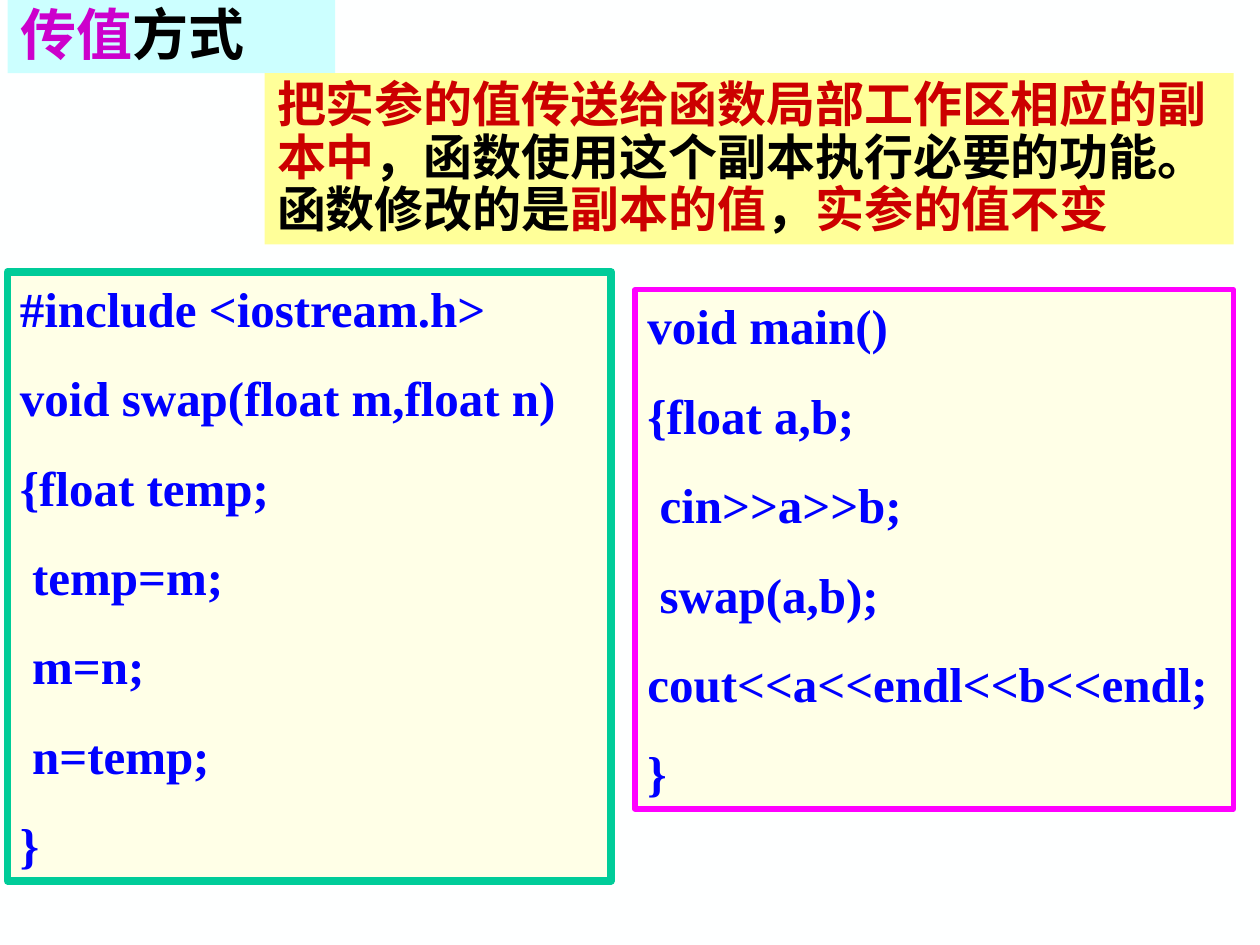
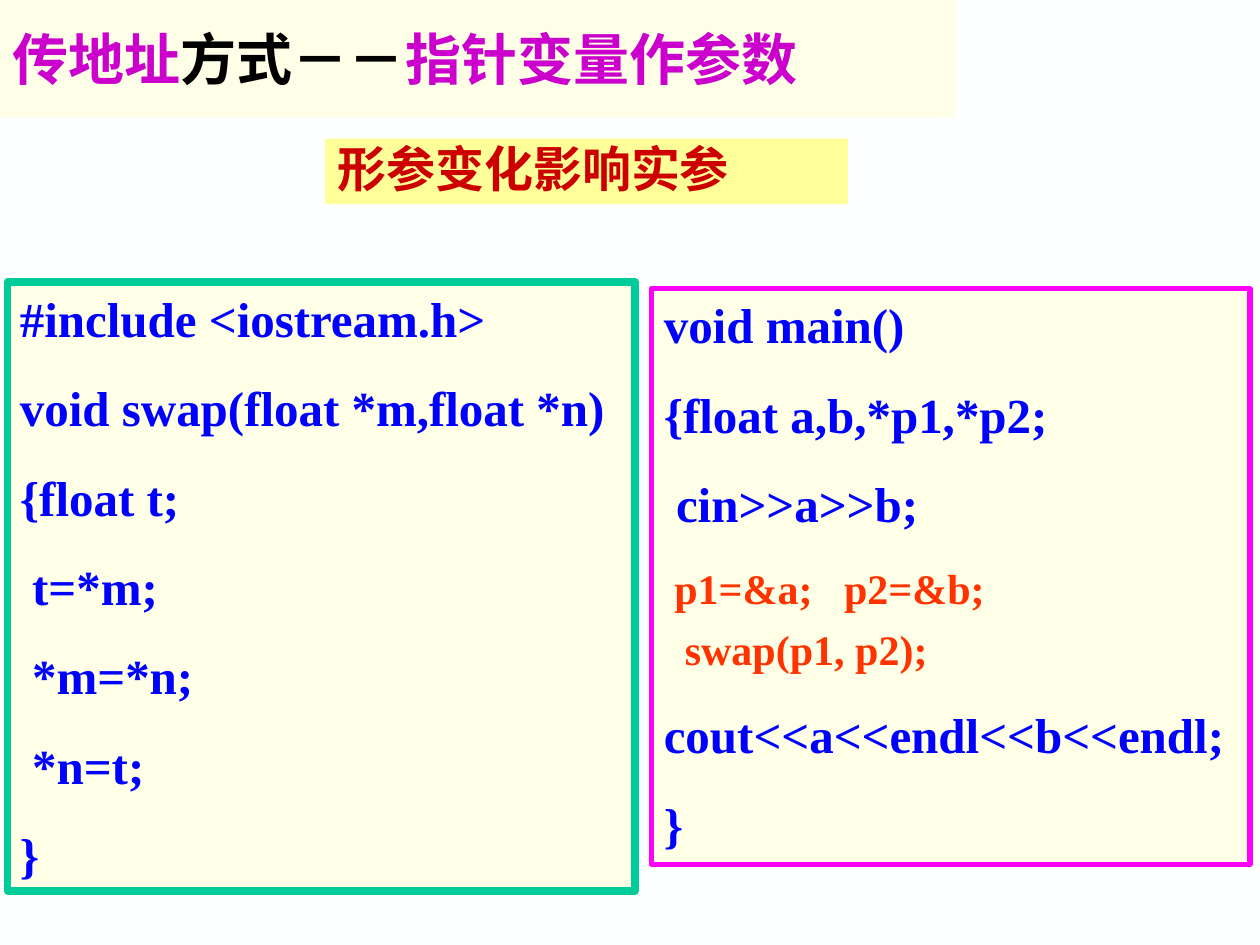
from pptx import Presentation
from pptx.dml.color import RGBColor
from pptx.enum.shapes import MSO_SHAPE as SHAPE
from pptx.enum.text import MSO_ANCHOR as ANCHOR, MSO_AUTO_SIZE as AUTO, PP_ALIGN as ALIGN
from pptx.oxml.ns import qn
from pptx.util import Inches, Pt
from lxml.etree import SubElement

W, H = Inches(10), Inches(7.5)
COL, ROW = W / 100, H / 75
COLORS = {
    "back": "FEFFFF", "cream": "FFFFE7", "sky": "CCFFFF", "yellow": "FFFF99",
    "magenta": "FF00FF", "green": "00CC99", "purple": "CC00CC", "black": "000000",
    "red": "CC0000", "blue": "0000FF", "orange": "FF3300",
}
CJK, CODE = "Noto Sans CJK SC", "Times New Roman"
LEADING = 1.2


def rgb(name):
    return RGBColor.from_string(COLORS[name])


def place(sp, box):
    left, top, width, height = box
    sp.left, sp.top = round(left * COL), round(top * ROW)
    sp.width, sp.height = round(width * COL), round(height * ROW)


def prepare(sp, box, fill, anchor=ANCHOR.TOP):
    place(sp, box)
    sp.fill.solid()
    sp.fill.fore_color.rgb = rgb(fill)
    tf = sp.text_frame
    tf.word_wrap = True
    tf.auto_size = AUTO.NONE
    tf.vertical_anchor = anchor
    tf.margin_left = tf.margin_right = Inches(0.1)
    tf.margin_top = tf.margin_bottom = Inches(0.05)
    return tf


def add_panel(s, box, fill, border=None, weight=0):
    sp = s.shapes.add_shape(SHAPE.RECTANGLE, 0, 0, 0, 0)
    sp.shadow.inherit = False
    if border:
        sp.line.color.rgb = rgb(border)
        sp.line.width = Pt(weight)
    else:
        sp.line.fill.background()
    return prepare(sp, box, fill)


def write(p, runs, size, name, before=0, tight=1, align=ALIGN.LEFT):
    p.alignment = align
    p.line_spacing = Pt(round(size * LEADING * tight, 1))
    p.space_before = Pt(before)
    p.font.size, p.font.name, p.font.bold = Pt(size), name, True
    p.font.color.rgb = rgb(runs[0][1])
    SubElement(p.font._element, qn("a:ea")).set("typeface", name)
    for text, color in runs:
        r = p.add_run()
        r.text = text
        if color != runs[0][1]:
            r.font.color.rgb = rgb(color)


def add_title(s, box, fill, runs, anchor=ANCHOR.TOP, tight=1):
    tf = prepare(s.shapes.title, box, fill, anchor)
    write(tf.paragraphs[0], runs, 32, CJK, tight=tight)


def add_note(s, box, runs):
    tf = add_panel(s, box, "yellow")
    write(tf.paragraphs[0], runs, 28, CJK, tight=0.9)


def add_code(s, box, border, weight, lines, calls=()):
    tf = add_panel(s, box, "cream", border, weight)
    for i, line in enumerate(lines):
        p = tf.paragraphs[0] if i == 0 else tf.add_paragraph()
        if line in calls:
            first = line == calls[0]
            write(p, [(line, "orange")], 24, CODE, 17.5 if first else 6,
                  align=ALIGN.LEFT if first else ALIGN.JUSTIFY)
        else:
            write(p, [(line, "blue")], 28, CODE, 17.5 if i else 0)


def add_swap(s, box, lines):
    add_code(s, box, "green", 4.5, ["#include <iostream.h>", *lines, "}"])


def add_main(s, box, lines, calls=()):
    add_code(s, box, "magenta", 3,
             ["void main()", *lines, "cout<<a<<endl<<b<<endl;", "}"], calls)


def by_value(s):
    add_title(s, (0.6, 0, 26, 5.8), "sky",
              [("传值", "purple"), ("方式", "black")], tight=0.9)
    add_note(s, (21, 5.8, 76.9, 13.6), [
        ("把实参的值传送给函数局部工作区相应的副本中", "red"),
        ("，函数使用这个副本执行必要的功能。函数修改的是", "black"),
        ("副本的值", "red"), ("，", "black"), ("实参的值不变", "red")])
    add_main(s, (50.4, 23, 47.5, 41.2),
             ["{float a,b;", " cin>>a>>b;", " swap(a,b);"])
    add_swap(s, (0.6, 21.6, 47.9, 48.3),
             ["void swap(float m,float n)", "{float temp;",
              " temp=m;", " m=n;", " n=temp;"])


def by_address(s):
    add_title(s, (0, 0, 75.8, 9.3), "cream",
              [("传地址", "purple"), ("方式－－", "black"), ("指针变量作参数", "purple")],
              ANCHOR.MIDDLE)
    add_note(s, (25.8, 11, 41.5, 5.2), [("形参变化影响实参", "red")])
    calls = [" p1=&a;   p2=&b;", "  swap(p1, p2);"]
    add_main(s, (51.7, 22.9, 47.5, 45.7),
             ["{float a,b,*p1,*p2;", " cin>>a>>b;", *calls], calls)
    add_swap(s, (0.6, 22.4, 49.8, 48.3),
             ["void swap(float *m,float *n)", "{float t;",
              " t=*m;", " *m=*n;", " *n=t;"])


def main():
    prs = Presentation()
    prs.slide_width, prs.slide_height = W, H
    back = prs.slide_master.background.fill
    back.solid()
    back.fore_color.rgb = rgb("back")
    title_only = prs.slide_layouts.get_by_name("Title Only")
    for build in (by_value, by_address):
        build(prs.slides.add_slide(title_only))
    prs.save("out.pptx")


if __name__ == "__main__":
    main()
